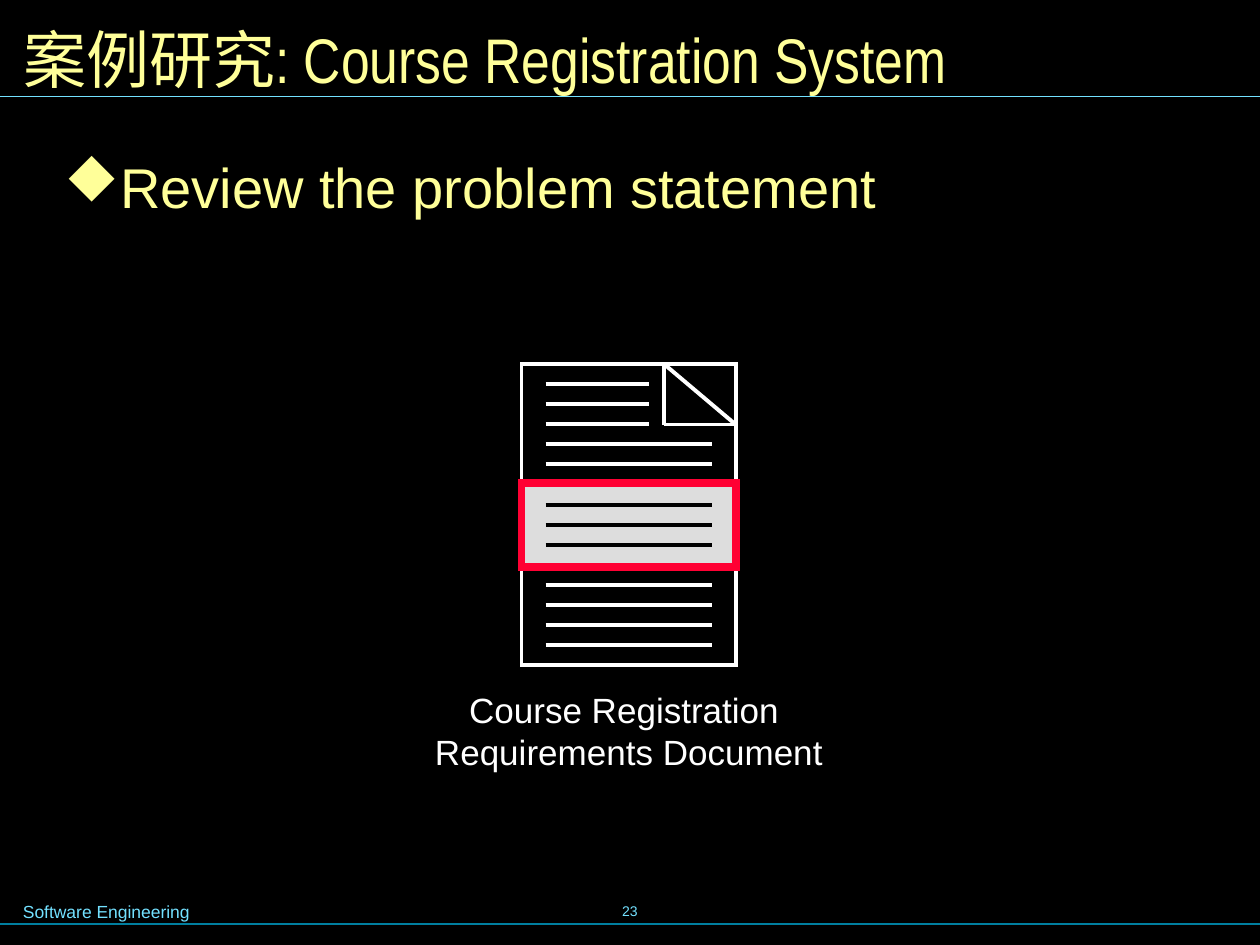
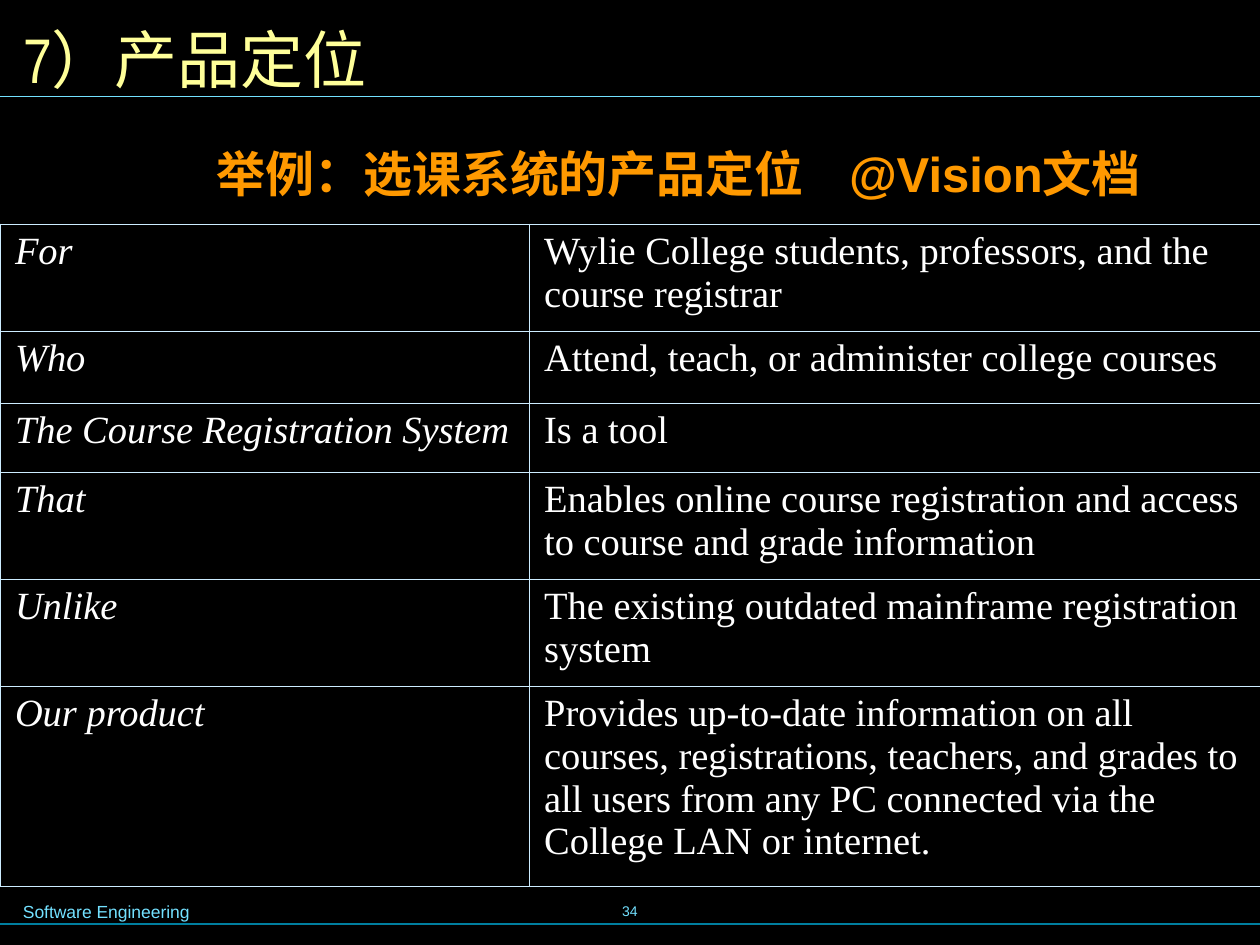
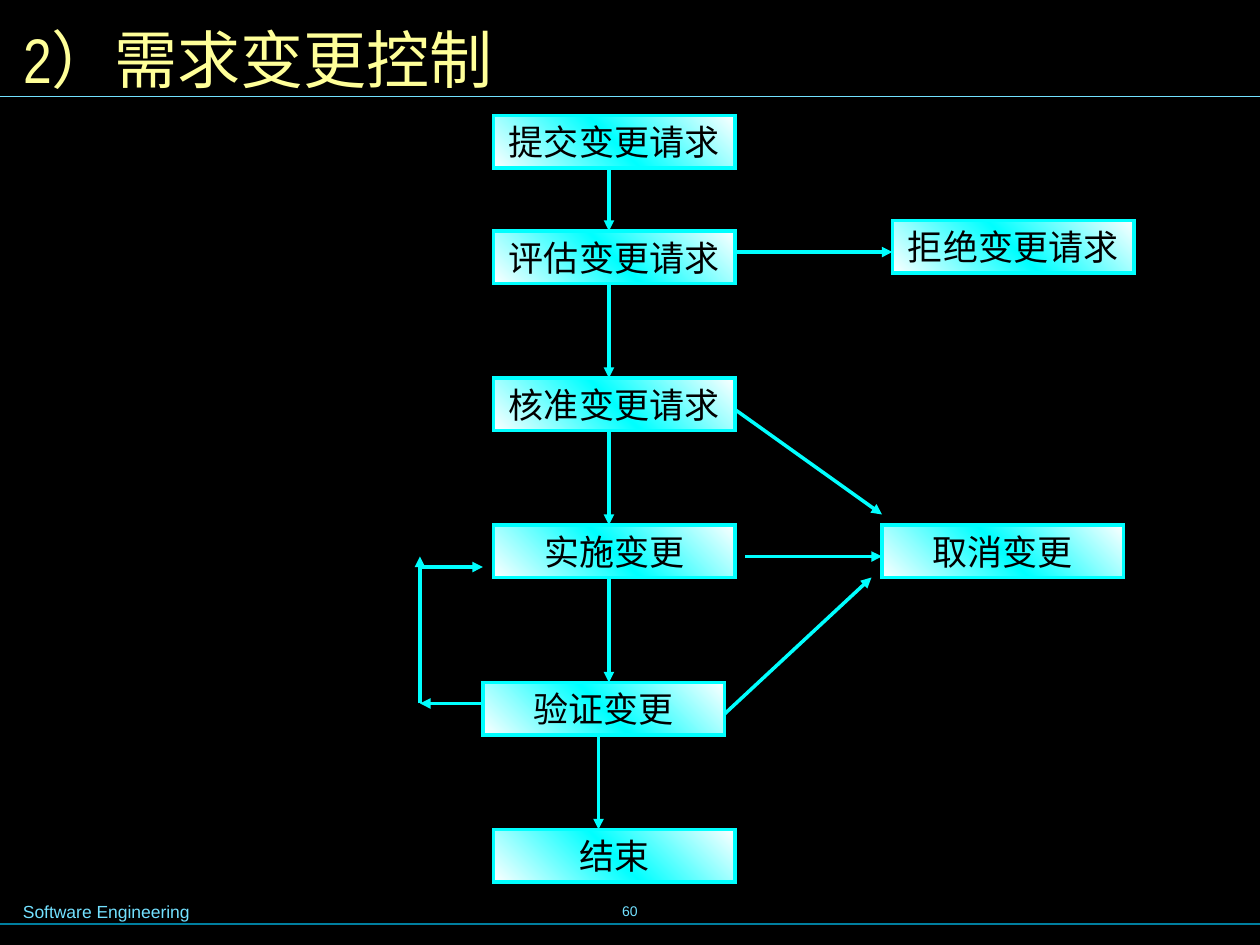
from copy import deepcopy

from lxml import etree
from pptx import Presentation
from pptx.dml.color import RGBColor
from pptx.enum.shapes import MSO_CONNECTOR, MSO_SHAPE
from pptx.enum.text import MSO_ANCHOR, MSO_AUTO_SIZE, PP_ALIGN
from pptx.oxml.ns import qn
from pptx.util import Pt

LEFT, CENTER = PP_ALIGN.LEFT, PP_ALIGN.CENTER
TOP, MIDDLE = MSO_ANCHOR.TOP, MSO_ANCHOR.MIDDLE
STRAIGHT, RECTANGLE = MSO_CONNECTOR.STRAIGHT, MSO_SHAPE.RECTANGLE
FIXED_SIZE = MSO_AUTO_SIZE.NONE

# Shared look
WIDTH, HEIGHT = 720, 540
BLACK, WHITE, YELLOW, ORANGE = "000000", "FFFFFF", "FFFF99", "FF9900"
SKY, TEAL, CYAN, RED = "73E1FF", "007E9F", "00FFFF", "FF0033"
GRAY, PALE_BLUE = "DDDDDD", "CCECFF"
SANS, NARROW, SERIF = "Arial", "Arial Narrow", "Times New Roman"
BULLET_FONT, DIAMOND = "Wingdings", "u"  # this letter is a diamond in Wingdings
FOOTER = "Software Engineering"

# Requirements document slide
REVIEW_TITLE = "案例研究: Course Registration System"
REVIEW_POINT = "Review the problem statement"
DOCUMENT_CAPTION = ["Course Registration ", "Requirements Document"]
SHEET = (298, 208, 122.4, 172)
HIGHLIGHT = (298, 275.8, 122.4, 48)
FOLD_X, FOLD_Y = 379.4, 242.6
TEXT_LINE_COUNT, TEXT_LINE_TOP, TEXT_LINE_STEP = 14, 219.5, 11.47
TEXT_LEFT, TEXT_RIGHT, TEXT_RIGHT_BY_FOLD = 311.8, 406.8, 370.8
LINES_BY_FOLD, HIGHLIGHTED_LINES = range(3), range(6, 9)

# Product position slide
POSITION_TITLE = "7）产品定位"
POSITION_HEADING = "举例：选课系统的产品定位\t@Vision文档"
HEADING_TAB = 361.5
POSITION_COLUMNS = [302.4, 417.6]
POSITION_ROWS = [
    (61.2, "For", "Wylie College students, professors, and the course registrar"),
    (41, "Who", "Attend, teach, or administer college courses"),
    (39.6, "The Course Registration System", "Is a tool"),
    (61.2, "That", "Enables online course registration and access to course and grade information"),
    (61.2, "Unlike", "The existing outdated mainframe registration system"),
    (114.4, "Our product", "Provides up-to-date information on all courses, registrations, teachers, "
     "and grades to all users from any PC connected via the College LAN or internet."),
]

# Change control slide
CHANGE_TITLE = "2）需求变更控制"
STEP_WIDTH, STEP_HEIGHT = 138, 30
STEPS = [
    ("提交变更请求", 282, 66),
    ("评估变更请求", 282, 132),
    ("核准变更请求", 282, 216),
    ("实施变更", 282, 300),
    ("验证变更", 276, 390),
    ("结束", 282, 474),
    ("取消变更", 504, 300),
    ("拒绝变更请求", 510, 126),
]
ARROWS = [
    (348, 96, 348, 132), (348, 162, 348, 216), (348, 246, 348, 300),
    (348, 330, 348, 390), (342, 420, 342, 474),
    (420, 144, 510, 144), (426, 318, 504, 318),
    (414, 408, 498, 330), (420, 234, 504, 294),
    (276, 402, 240, 402), (240, 402, 240, 318), (240, 324, 276, 324),
]


def rgb(color):
    return RGBColor.from_string(color)


def add_element(parent, tag, **attributes):
    return etree.SubElement(parent, qn(tag), attributes)


def set_font(para, name, size, color, bold=False, italic=False):
    font = para.font
    font.name, font.size = name, Pt(size)
    font.bold, font.italic = bold, italic
    font.color.rgb = rgb(color)


def add_text(page, place, lines, size, color, align=LEFT, anchor=TOP, bold=False,
             bullet=None, tab=None):
    box = page.shapes.add_textbox(*map(Pt, place))
    frame = box.text_frame
    frame.word_wrap, frame.vertical_anchor = True, anchor
    frame.text = "\n".join(lines)
    for para in frame.paragraphs:
        para.alignment = align
        properties = para._p.get_or_add_pPr()
        if bullet:
            properties.set("marL", str(Pt(27)))
            properties.set("indent", str(Pt(-27)))
            bullet_color = add_element(properties, "a:buClr")
            add_element(bullet_color, "a:srgbClr", val=color)
            add_element(properties, "a:buFont", typeface=BULLET_FONT, charset="2")
            add_element(properties, "a:buChar", char=bullet)
        if tab:
            stops = add_element(properties, "a:tabLst")
            add_element(stops, "a:tab", pos=str(Pt(tab)), algn="l")
        set_font(para, SANS, size, color, bold)
    return frame


def add_line(page, ends, color, weight, arrow=False):
    line = page.shapes.add_connector(STRAIGHT, *map(Pt, ends))
    line.line.color.rgb, line.line.width = rgb(color), Pt(weight)
    if arrow:
        add_element(line.line._get_or_add_ln(), "a:tailEnd", type="triangle")
    add_element(line._element.spPr, "a:effectLst")


def add_rectangle(page, place, color, weight, fill=None):
    shape = page.shapes.add_shape(RECTANGLE, *map(Pt, place))
    shape.shadow.inherit = False
    shape.line.color.rgb, shape.line.width = rgb(color), Pt(weight)
    add_element(shape.line._get_or_add_ln(), "a:miter", lim="800000")
    if fill:
        shape.fill.solid()
        shape.fill.fore_color.rgb = rgb(fill)
    else:
        shape.fill.background()
    return shape


def add_page(deck, title, number):
    page = deck.slides.add_slide(deck.slide_layouts[5])
    # Title
    box = page.shapes.title
    box.left, box.top, box.width, box.height = map(Pt, (6, 6.5, 708, 54))
    frame = box.text_frame
    frame.text = title
    frame.auto_size, frame.vertical_anchor = FIXED_SIZE, MIDDLE
    frame.paragraphs[0].alignment = LEFT
    set_font(frame.paragraphs[0], NARROW, 36, YELLOW)
    # Rules, footer and page number
    add_line(page, (0, 528, WIDTH, 528), TEAL, 0.75)
    add_line(page, (0, 55, WIDTH, 55), SKY, 0.75)
    add_text(page, (6, 511.4, 212, 20), [FOOTER], 10, SKY)
    add_text(page, (246, 502.6, 228, 36), [str(number)], 8, SKY, CENTER, MIDDLE)
    return page


def add_document(page):
    left, top, width, height = SHEET
    right = left + width
    add_rectangle(page, HIGHLIGHT, WHITE, 2.25, GRAY)
    add_rectangle(page, SHEET, WHITE, 2.25)
    # Folded corner
    for ends in [(FOLD_X, top, right, FOLD_Y), (FOLD_X, top, FOLD_X, FOLD_Y),
                 (right, FOLD_Y, FOLD_X, FOLD_Y)]:
        add_line(page, ends, WHITE, 2.25)
    # Lines of writing
    for index in range(TEXT_LINE_COUNT):
        y = TEXT_LINE_TOP + index * TEXT_LINE_STEP
        end = TEXT_RIGHT_BY_FOLD if index in LINES_BY_FOLD else TEXT_RIGHT
        color = BLACK if index in HIGHLIGHTED_LINES else WHITE
        add_line(page, (TEXT_LEFT, y, end, y), color, 2.25)
    add_rectangle(page, HIGHLIGHT, RED, 4.5)


def add_borders(cell, color, weight):
    properties = cell._tc.get_or_add_tcPr()
    for side in ("a:lnL", "a:lnR", "a:lnT", "a:lnB"):
        border = add_element(properties, side, w=str(Pt(weight)))
        fill = add_element(border, "a:solidFill")
        add_element(fill, "a:srgbClr", val=color)


def add_position_table(page):
    heights = [row[0] for row in POSITION_ROWS]
    frame = page.shapes.add_table(len(POSITION_ROWS), len(POSITION_COLUMNS), Pt(0), Pt(128),
                                  Pt(WIDTH), Pt(sum(heights)))
    table = frame.table
    table.first_row = table.horz_banding = False
    for column, width in zip(table.columns, POSITION_COLUMNS):
        column.width = Pt(width)
    for row, (height, *texts) in zip(table.rows, POSITION_ROWS):
        row.height = Pt(height)
        for index, (cell, text) in enumerate(zip(row.cells, texts)):
            add_borders(cell, PALE_BLUE, 0.45)
            cell.fill.background()
            cell.margin_left = cell.margin_right = Pt(8.6)
            cell.text = text
            set_font(cell.text_frame.paragraphs[0], SERIF, 22, WHITE, italic=index == 0)


def add_step(page, text, left, top):
    box = add_rectangle(page, (left, top, STEP_WIDTH, STEP_HEIGHT), CYAN, 2)
    # Three-stop gradient
    box.fill.gradient()
    box.fill.gradient_angle = 45
    first_stop = box._element.spPr.find(qn("a:gradFill")).find(qn("a:gsLst"))[0]
    first_stop.addnext(deepcopy(first_stop))
    for stop, position, color in zip(box.fill.gradient_stops, (0, 0.5, 1), (WHITE, CYAN, WHITE)):
        stop.position, stop.color.rgb = position, rgb(color)
    frame = box.text_frame
    frame.text = text
    frame.word_wrap, frame.vertical_anchor = False, MIDDLE
    frame.paragraphs[0].alignment = CENTER
    set_font(frame.paragraphs[0], SERIF, 20, BLACK)


def main():
    deck = Presentation()
    deck.slide_width, deck.slide_height = Pt(WIDTH), Pt(HEIGHT)
    background = deck.slide_master.background.fill
    background.solid()
    background.fore_color.rgb = rgb(BLACK)

    # Requirements document
    page = add_page(deck, REVIEW_TITLE, 23)
    frame = add_text(page, (28, 83.5, 669, 100), [REVIEW_POINT], 32, YELLOW, bullet=DIAMOND)
    frame.margin_left = frame.margin_right = Pt(8.6)
    add_document(page)
    add_text(page, (231.4, 390, 256, 56), DOCUMENT_CAPTION, 20, WHITE, CENTER)

    # Product position
    page = add_page(deck, POSITION_TITLE, 34)
    add_position_table(page)
    add_text(page, (116.6, 78.5, 580, 41), [POSITION_HEADING], 28, ORANGE, bold=True,
             tab=HEADING_TAB)

    # Change control
    page = add_page(deck, CHANGE_TITLE, 60)
    for step in STEPS:
        add_step(page, *step)
    for ends in ARROWS:
        add_line(page, ends, CYAN, 2, arrow=True)

    deck.save("out.pptx")


if __name__ == "__main__":
    main()
